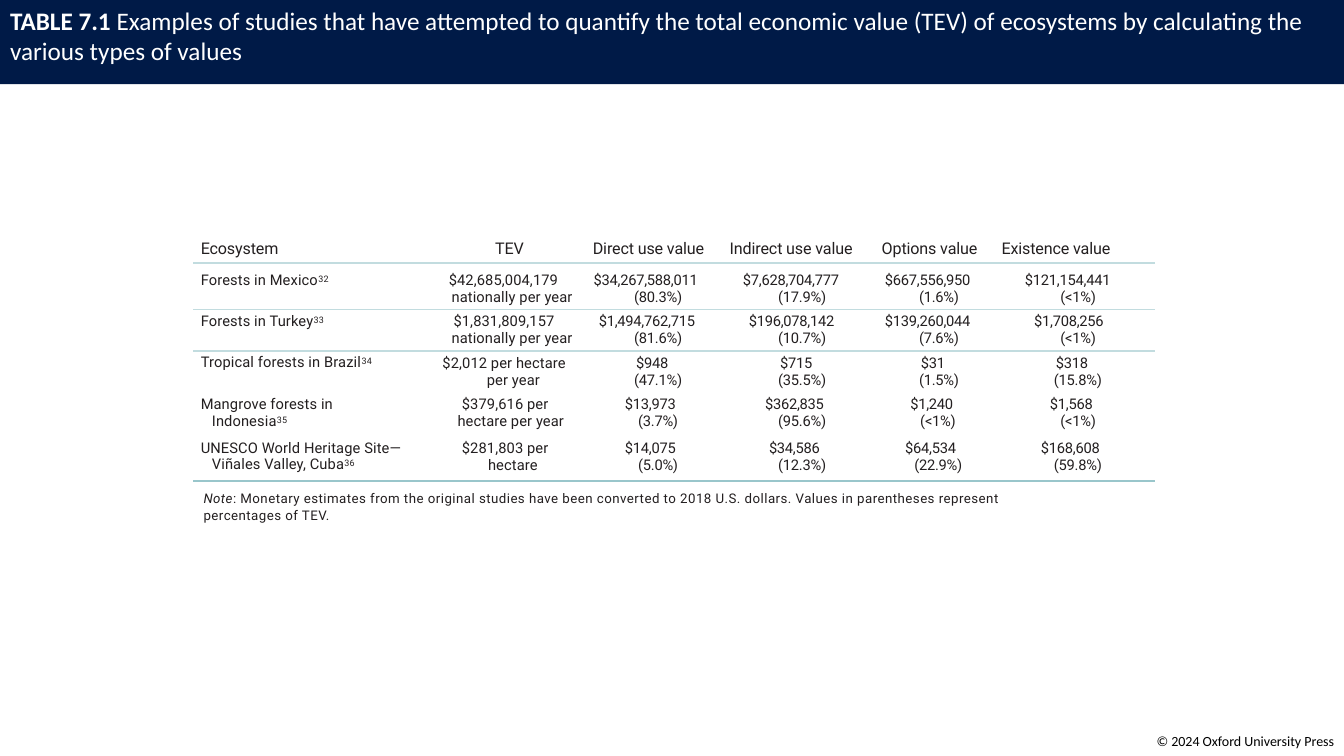
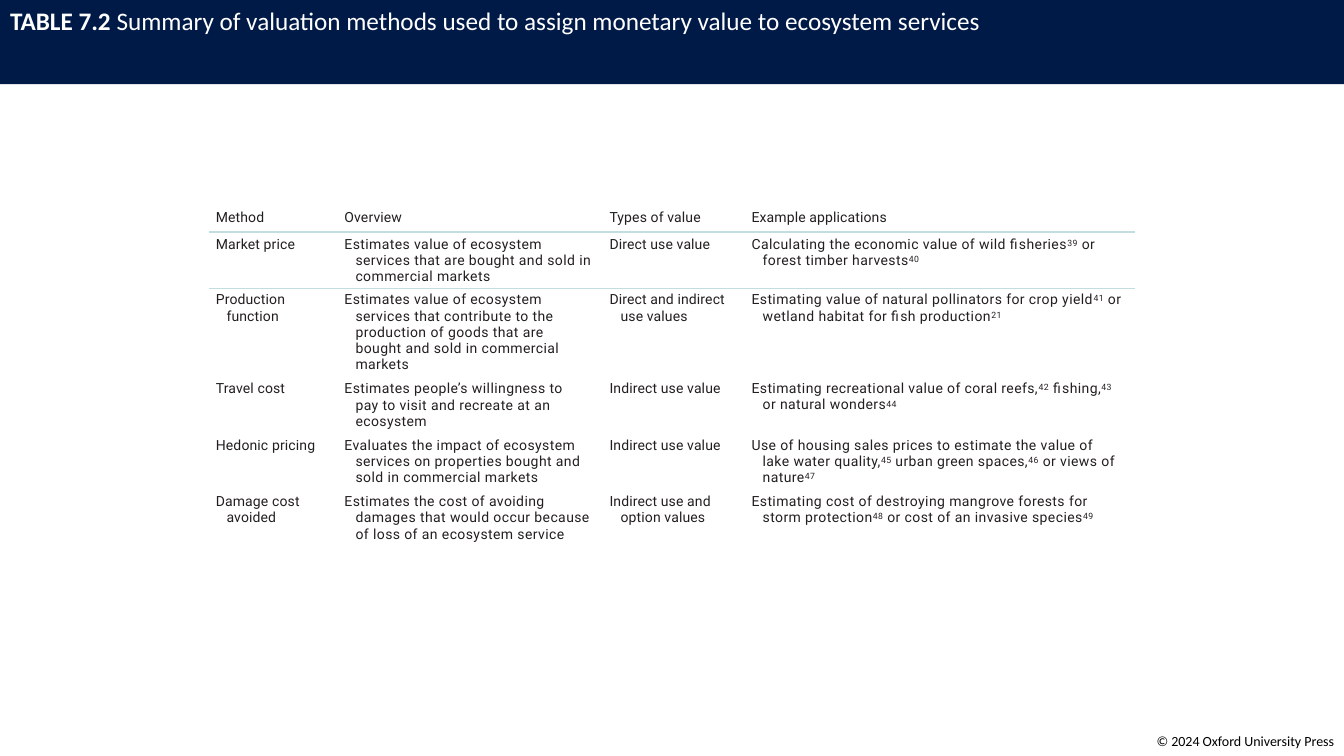
"""Build two table slides on the economic value of ecosystems."""
from lxml.etree import SubElement
from pptx import Presentation
from pptx.dml.color import RGBColor
from pptx.enum.text import MSO_ANCHOR, MSO_AUTO_SIZE, PP_ALIGN
from pptx.oxml import parse_xml
from pptx.oxml.ns import nsdecls, qn
from pptx.util import Cm, Pt

NAVY, WHITE, BLACK, INK = "001A47", "FFFFFF", "000000", "231F20"
PALE, TEAL = "C2DCDF", "99C6CB"
WIDE, HIGH = 33.87, 19.05


def write(frame, text, font="Roboto", size=10, color=INK, mark="sup", gap=0,
          pitch=None, start=0, rest=0, align=PP_ALIGN.LEFT):
    """Write one paragraph; ^ switches the mark on and off, | breaks the line."""
    para = frame.paragraphs[0]
    para.alignment = align
    if pitch:
        para.line_spacing = Pt(pitch)
    if rest:
        props = para._p.get_or_add_pPr()
        props.set("marL", str(Cm(rest)))
        props.set("indent", str(Cm(start) - Cm(rest)))
    for num, part in enumerate(text.split("^")):
        for row, line in enumerate(part.split("|")):
            if row:
                para.add_line_break()
            if not line:
                continue
            run = para.add_run()
            run.text = line
            face = run.font
            face.name, face.size = font, Pt(size)
            face.color.rgb = RGBColor.from_string(color)
            face.bold = mark == "bold" and num % 2 == 1
            face.italic = mark == "italic" and num % 2 == 1
            props = run._r.get_or_add_rPr()
            if gap:
                props.set("spc", str(round(gap * 100)))
            if mark == "sup" and num % 2:
                face.size = Pt(round(size * 1.06, 1))
                props.set("baseline", "19000")


def edge(cell, side, color, width):
    """Put a solid border on one side of a cell."""
    line = parse_xml(f'<a:{side} {nsdecls("a")} w="{Pt(width)}"/>')
    fill = SubElement(line, qn("a:solidFill"))
    SubElement(fill, qn("a:srgbClr")).set("val", color)
    cell._tc.get_or_add_tcPr().insert(0, line)


VALUES = [
    ["Ecosystem", "TEV", "Direct use value", "Indirect use value",
     "Options value", "Existence value"],
    ["Forests in Mexico^32^", "$42,685,004,179|nationally per year",
     "$34,267,588,011|(80.3%)", "$7,628,704,777|(17.9%)",
     "$667,556,950|(1.6%)", "$121,154,441|(<1%)"],
    ["Forests in Turkey^33^", "$1,831,809,157|nationally per year",
     "$1,494,762,715|(81.6%)", "$196,078,142|(10.7%)",
     "$139,260,044|(7.6%)", "$1,708,256|(<1%)"],
    ["Tropical forests in Brazil^34^", "$2,012 per hectare|per year",
     "$948|(47.1%)", "$715|(35.5%)", "$31|(1.5%)", "$318|(15.8%)"],
    ["Mangrove forests in|Indonesia^35^", "$379,616 per|hectare per year",
     "$13,973|(3.7%)", "$362,835|(95.6%)", "$1,240|(<1%)", "$1,568|(<1%)"],
    ["UNESCO World Heritage Site—|Viñales Valley, Cuba^36^",
     "$281,803 per|hectare", "$14,075|(5.0%)", "$34,586|(12.3%)",
     "$64,534|(22.9%)", "$168,608|(59.8%)"],
]
NAME = (0.18, 0.46)
METHODS = [
    ["Method", "Overview", "Types of value", "Example applications"],
    ["Market price",
     "Estimates value of ecosystem|services that are bought and sold in|"
     "commercial markets",
     "Direct use value",
     "Calculating the economic value of wild fisheries^39^ or|"
     "forest timber harvests^40^"],
    ["Production|function",
     "Estimates value of ecosystem|services that contribute to the|"
     "production of goods that are|bought and sold in commercial|markets",
     "Direct and indirect|use values",
     "Estimating value of natural pollinators for crop yield^41^ or|"
     "wetland habitat for fish production^21^"],
    ["Travel cost",
     "Estimates people’s willingness to|pay to visit and recreate at an|"
     "ecosystem",
     "Indirect use value",
     "Estimating recreational value of coral reefs,^42^ fishing,^43^|"
     "or natural wonders^44^"],
    ["Hedonic pricing",
     "Evaluates the impact of ecosystem|services on properties bought and|"
     "sold in commercial markets",
     "Indirect use value",
     "Use of housing sales prices to estimate the value of|"
     "lake water quality,^45^ urban green spaces,^46^ or views of|"
     "nature^47^"],
    ["Damage cost|avoided",
     "Estimates the cost of avoiding|damages that would occur because|"
     "of loss of an ecosystem service",
     "Indirect use and|option values",
     "Estimating cost of destroying mangrove forests for|"
     "storm protection^48^ or cost of an invasive species^49^"],
]
PAGES = [
    dict(title="^TABLE 7.1 ^Examples of studies that have attempted to "
               "quantify the total economic value (TEV) of ecosystems by "
               "calculating the various types of values",
         band=1.8, left=4.88, top=6.02, cells=VALUES,
         cols=[5.79, 4.09, 3.45, 3.76, 3.07, 4.04],
         rows=[0.61, 1.17, 1.04, 1.04, 1.07, 1.17],
         pads=[0, 0.23, 0.1, 0.1, 0.1, 0.13],
         head=(11.5, 13.7, -0.1), body=(10.5, 12.1),
         gaps=[0.1, 0.1] + [-0.15] * 4,
         tabs=[
             [NAME, (1.81, 1.81), NAME, NAME, (0.25, 0.25), (0.2, 0.2)],
             [NAME, (0.64, 0.71), (0.2, 1.22), (0.51, 1.4), (0.33, 1.19),
              (0.79, 1.68)],
             [NAME, (0.76, 0.71), (0.33, 1.22), (0.66, 1.4), (0.33, 1.19),
              (1.02, 1.68)],
             [NAME, (0.48, 1.6), (1.27, 1.22), (1.45, 1.4), (1.24, 1.19),
              (1.57, 1.52)],
             [NAME, (0.97, 0.86), (0.99, 1.32), (1.07, 1.4), (0.97, 1.22),
              (1.42, 1.68)],
             [NAME, (0.97, 1.63), (0.99, 1.32), (1.17, 1.4), (0.84, 1.07),
              (1.19, 1.52)]],
         rules={0: (PALE, 1.5), 1: (PALE, 1.5), 5: (TEAL, 1.5)},
         note="^Note^: Monetary estimates from the original studies have "
              "been converted to 2018 U.S. dollars. Values in parentheses "
              "represent|percentages of TEV."),
    dict(title="^TABLE 7.2 ^Summary of valuation methods used to assign "
               "monetary value to ecosystem services",
         band=1.03, left=5.28, top=5.28, cells=METHODS,
         cols=[3.12, 6.78, 3.53, 9.88],
         rows=[0.56, 1.42, 2.24, 1.42, 1.42, 1.35],
         pads=[0, 0.12, 0.1, 0.1, 0.1, 0.1],
         head=(10, 11.7, 0.1), body=(10, 11.6), gaps=[0.1, 0.3, 0.1, 0.3],
         tabs=[[(0.16, 0.43), (0.28, 0.56), (0.18, 0.46), (0.23, 0.51)]] * 6,
         rules={0: (PALE, 1.5), 1: (PALE, 0.75)}, note=None),
]

deck = Presentation()
deck.slide_width, deck.slide_height = Cm(WIDE), Cm(HIGH)

for page in PAGES:
    slide = deck.slides.add_slide(deck.slide_layouts[5])

    title = slide.shapes.title
    title.left, title.top = Cm(0), Cm(0)
    title.width, title.height = Cm(WIDE), Cm(page["band"])
    title.fill.solid()
    title.fill.fore_color.rgb = RGBColor.from_string(NAVY)
    title.text_frame.vertical_anchor = MSO_ANCHOR.TOP
    title.text_frame.auto_size = MSO_AUTO_SIZE.SHAPE_TO_FIT_TEXT
    write(title.text_frame, page["title"], font="Calibri", size=18,
          color=WHITE, mark="bold")

    cols, rows = page["cols"], page["rows"]
    grid = slide.shapes.add_table(
        len(rows), len(cols), Cm(page["left"]), Cm(page["top"]),
        Cm(sum(cols)), Cm(sum(rows))).table
    grid.first_row = grid.horz_banding = False
    for col, width in zip(grid.columns, cols):
        col.width = Cm(width)
    for r, high in enumerate(rows):
        grid.rows[r].height = Cm(high)
        for c, text in enumerate(page["cells"][r]):
            cell = grid.cell(r, c)
            cell.fill.background()
            cell.margin_left = cell.margin_right = cell.margin_bottom = 0
            cell.margin_top = Cm(page["pads"][r])
            if r in page["rules"]:
                edge(cell, "lnB", *page["rules"][r])
            if r - 1 in page["rules"]:
                edge(cell, "lnT", *page["rules"][r - 1])
            size, pitch, gap = (page["head"] if r == 0
                                else (*page["body"], page["gaps"][c]))
            start, rest = page["tabs"][r][c]
            write(cell.text_frame, text, size=size, pitch=pitch, gap=gap,
                  start=start, rest=rest)

    if page["note"]:
        note = slide.shapes.add_textbox(Cm(5.13), Cm(12.3), Cm(20.3), Cm(0.91))
        frame = note.text_frame
        frame.word_wrap = True
        frame.margin_left = frame.margin_right = 0
        frame.margin_top = frame.margin_bottom = Cm(0.03)
        write(frame, page["note"], size=9.5, mark="italic", gap=0.35, pitch=12)

    foot = slide.shapes.add_textbox(Cm(28.78), Cm(18.34), Cm(5.09), Cm(0.69))
    foot.text_frame.margin_left = 0
    foot.text_frame.word_wrap = True
    write(foot.text_frame, "© 2024 Oxford University Press", font="Calibri",
          size=10, color=BLACK, align=PP_ALIGN.RIGHT)

deck.save("out.pptx")
